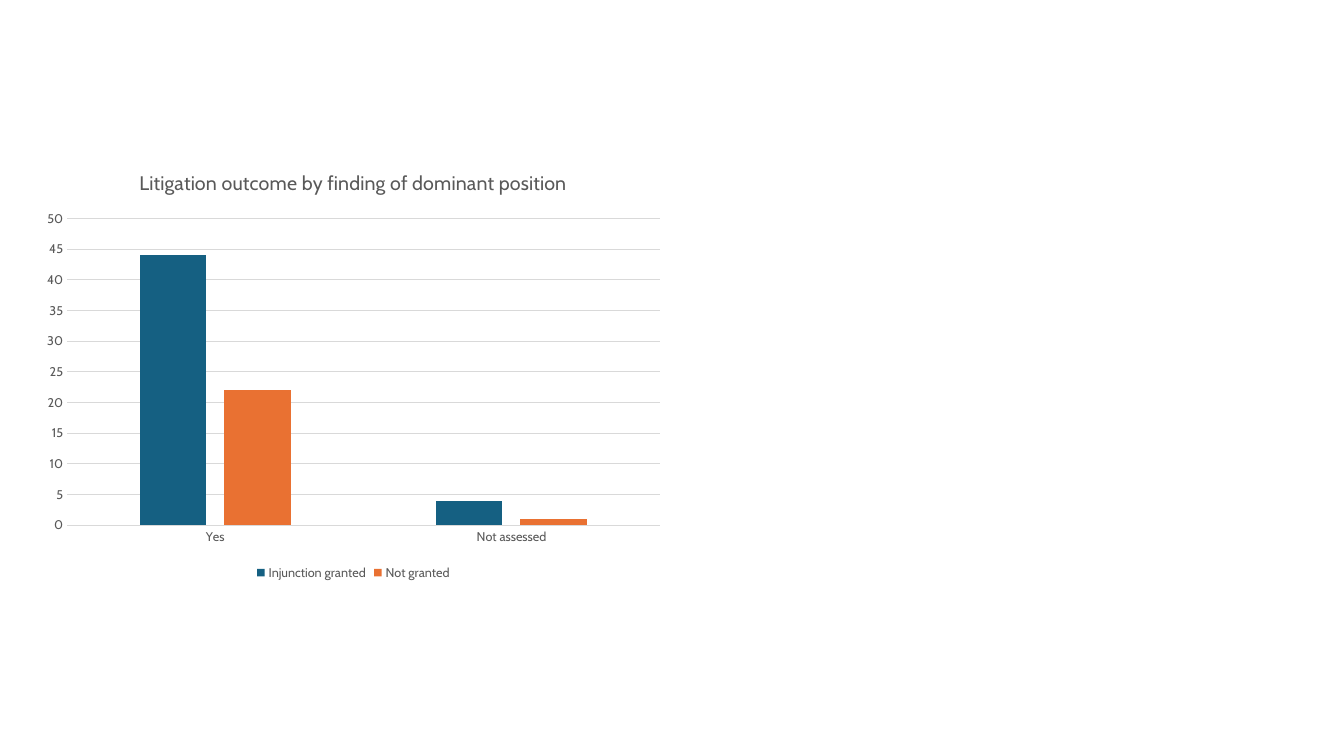
"""Build a slide with a column chart of litigation outcomes."""
from pptx import Presentation
from pptx.chart.data import CategoryChartData
from pptx.dml.color import RGBColor
from pptx.enum.chart import XL_CHART_TYPE, XL_LEGEND_POSITION, XL_TICK_MARK
from pptx.util import Pt

TITLE = "Litigation outcome by finding of dominant position"
CATS = ["Yes", "Not assessed"]
SERIES = {"Injunction granted": (44, 4), "Not granted": (22, 1)}
BOX = (24.5, 108.7, 455.8, 308.9)
THEME = {
    "font": "Cabin", "text": "595959", "grid": "D9D9D9",
    "bars": ["156082", "E97132"], "title": 14, "label": 9, "line": 0.75,
}


def style(font, size):
    font.name = THEME["font"]
    font.size = Pt(size)
    font.bold = False
    font.color.rgb = RGBColor.from_string(THEME["text"])


def rule(line):
    line.width = Pt(THEME["line"])
    line.color.rgb = RGBColor.from_string(THEME["grid"])


def add_title(chart):
    chart.has_title = True
    run = chart.chart_title.text_frame.paragraphs[0].add_run()
    run.text = TITLE
    style(run.font, THEME["title"])
    chart.chart_title.include_in_layout = False


def add_axes(chart):
    for axis in (chart.category_axis, chart.value_axis):
        axis.major_tick_mark = axis.minor_tick_mark = XL_TICK_MARK.NONE
        style(axis.tick_labels.font, THEME["label"])
    rule(chart.category_axis.format.line)
    values = chart.value_axis
    values.minimum_scale, values.maximum_scale, values.major_unit = 0, 50, 5
    values.format.line.fill.background()
    values.has_major_gridlines = True
    rule(values.major_gridlines.format.line)


def add_bars(chart):
    plot = chart.plots[0]
    plot.gap_width, plot.overlap = 219, -27
    plot.vary_by_categories = False
    for bars, color in zip(plot.series, THEME["bars"]):
        bars.invert_if_negative = False
        bars.format.fill.solid()
        bars.format.fill.fore_color.rgb = RGBColor.from_string(color)


def add_legend(chart):
    chart.has_legend = True
    chart.legend.position = XL_LEGEND_POSITION.BOTTOM
    chart.legend.include_in_layout = False
    style(chart.legend.font, THEME["label"])


def main():
    deck = Presentation()
    deck.slide_width, deck.slide_height = Pt(960), Pt(540)
    slide = deck.slides.add_slide(deck.slide_layouts[6])
    data = CategoryChartData()
    data.categories = CATS
    for name, values in SERIES.items():
        data.add_series(name, values)
    frame = slide.shapes.add_chart(
        XL_CHART_TYPE.COLUMN_CLUSTERED, *map(Pt, BOX), data)
    chart = frame.chart
    chart.font.name, chart.font.size = THEME["font"], Pt(10)
    for part in (add_title, add_axes, add_bars, add_legend):
        part(chart)
    deck.save("out.pptx")


if __name__ == "__main__":
    main()
